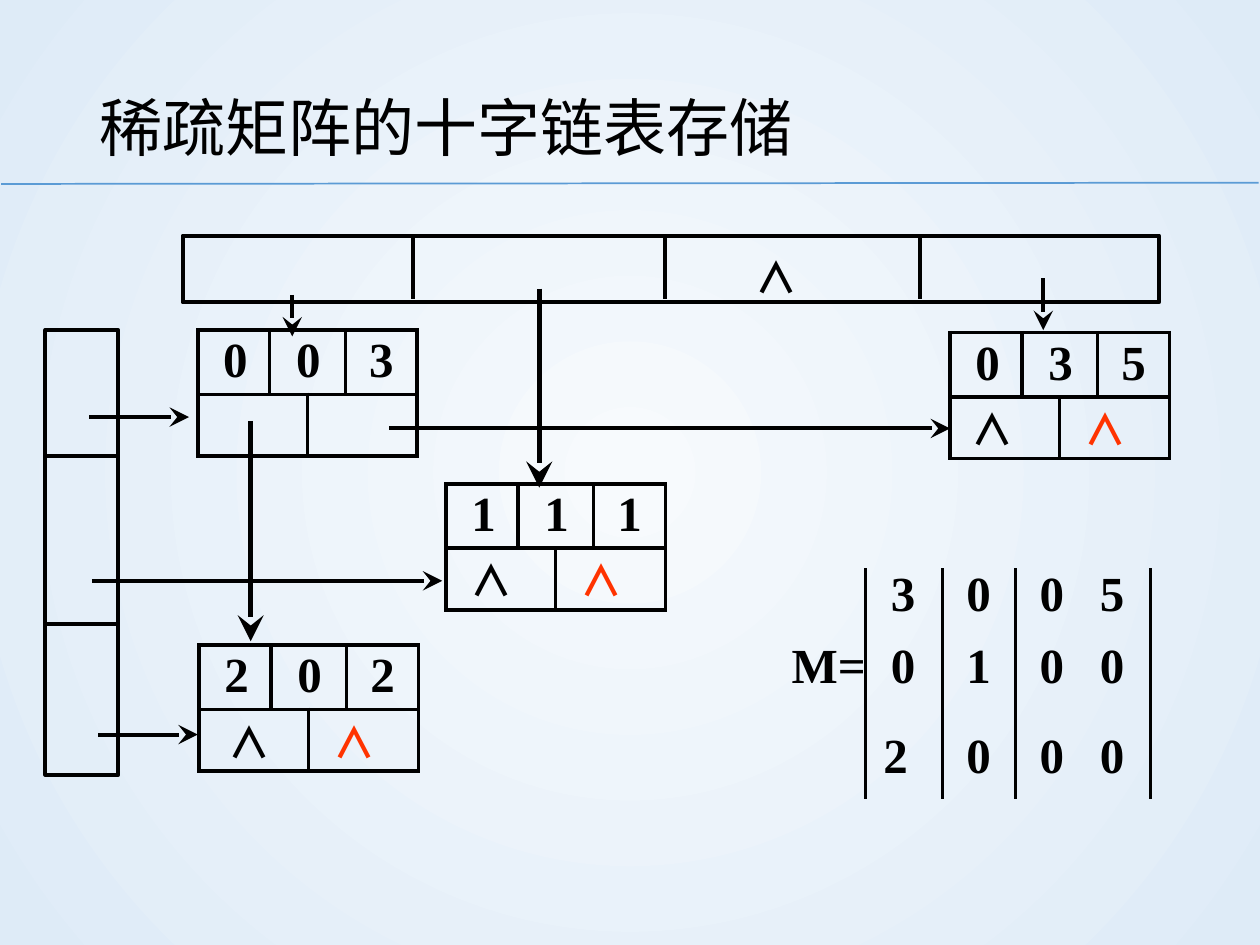
from lxml.etree import SubElement
from pptx import Presentation
from pptx.dml.color import RGBColor
from pptx.enum.shapes import MSO_CONNECTOR as Connector, MSO_SHAPE as Shape
from pptx.enum.text import MSO_ANCHOR as Anchor, PP_ALIGN as Align
from pptx.oxml.ns import qn
from pptx.util import Inches, Pt

BLACK = RGBColor(0x00, 0x00, 0x00)
RED = RGBColor(0xFF, 0x33, 0x00)
BLUE = RGBColor(0x5B, 0x9B, 0xD5)
CENTRE = RGBColor(0xF7, 0xFA, 0xFD)
EDGE = RGBColor(0xDE, 0xEB, 0xF7)

SERIF, SANS, CJK = "Times New Roman", "Arial", "Noto Sans CJK SC"
NO_STYLE = "{2D5ABB26-0587-4C30-8999-92F81FD0307C}"
NULL = "∧"


def write(frame, text, size=28, font=SERIF, color=BLACK, bold=True,
          indent=0, align=None, spacing=None):
    """Put one formatted paragraph in a text frame."""
    paragraph = frame.paragraphs[0]
    if indent:
        paragraph._p.get_or_add_pPr().set("marL", str(Inches(indent)))
    if align is not None:
        paragraph.alignment = align
    if spacing is not None:
        paragraph.line_spacing = spacing
    run = paragraph.add_run()
    run.text = text
    run.font.size, run.font.bold, run.font.name = Pt(size), bold, font
    run.font.color.rgb = color
    if font != SERIF:
        SubElement(run._r.get_or_add_rPr(), qn("a:ea"), typeface=CJK)


class Diagram:
    """Draws the parts of the slide with one line style."""

    def __init__(self, slide, weight=2.25):
        self.slide = slide
        self.weight = weight

    def background(self):
        fill = self.slide.background.fill
        fill.gradient()
        for stop, color, position in zip(fill.gradient_stops, (CENTRE, EDGE), (0, 1)):
            stop.color.rgb, stop.position = color, position
        gradient = self.slide._element.find(".//" + qn("a:gradFill"))
        gradient.remove(gradient.find(qn("a:lin")))
        radial = SubElement(gradient, qn("a:path"), path="circle")
        SubElement(radial, qn("a:fillToRect"), l="50000", t="50000", r="50000", b="50000")

    def text(self, text, left, top, width, height, inset=None, anchor=Anchor.TOP, **style):
        frame = self.slide.shapes.add_textbox(
            Inches(left), Inches(top), Inches(width), Inches(height)).text_frame
        frame.word_wrap = True
        frame.vertical_anchor = anchor
        if inset is not None:
            frame.margin_left = frame.margin_right = Inches(inset)
            frame.margin_top = frame.margin_bottom = Inches(inset)
        write(frame, text, **style)

    def line(self, x1, y1, x2, y2, color=BLACK, weight=None):
        line = self.slide.shapes.add_connector(
            Connector.STRAIGHT, Inches(x1), Inches(y1), Inches(x2), Inches(y2))
        line.line.color.rgb = color
        line.line.width = Pt(weight or self.weight)
        SubElement(line._element.spPr, qn("a:effectLst"))
        return line

    def arrow(self, x1, y1, x2, y2, weight=None):
        arrow = self.line(x1, y1, x2, y2, weight=weight)
        SubElement(arrow.line._get_or_add_ln(), qn("a:tailEnd"),
                   type="stealth", w="lg", len="lg")

    def box(self, left, top, width, height):
        box = self.slide.shapes.add_shape(
            Shape.RECTANGLE, Inches(left), Inches(top), Inches(width), Inches(height))
        box.shadow.inherit = False
        box.fill.background()
        box.line.color.rgb = BLACK
        box.line.width = Pt(self.weight)

    def table(self, left, top, columns, rows, borders):
        """Add a plain table; borders(column) names the sides drawn there."""
        table = self.slide.shapes.add_table(
            len(rows), len(columns), Inches(left), Inches(top),
            Inches(sum(columns)), Inches(sum(rows))).table
        table._tbl.tblPr.find(qn("a:tableStyleId")).text = NO_STYLE
        table.first_row = table.horz_banding = False
        for column, width in zip(table.columns, columns):
            column.width = Inches(width)
        for row, height in zip(table.rows, rows):
            row.height = Inches(height)
            for index, cell in enumerate(row.cells):
                cell.margin_left = cell.margin_right = 0
                cell.margin_top = cell.margin_bottom = 0
                for side in borders(index):
                    edge = SubElement(cell._tc.get_or_add_tcPr(), qn(f"a:ln{side}"),
                                      w=str(Pt(self.weight)))
                    solid = SubElement(edge, qn("a:solidFill"))
                    SubElement(solid, qn("a:srgbClr"), val=str(BLACK))
                cell.fill.background()
        return table

    def node(self, left, top, triple, null_indent=None):
        """Row, column and value above the down and right pointers."""
        table = self.table(left, top, (0.57, 0.3, 0.3, 0.57), (0.51, 0.49),
                           lambda column: "LRTB")
        for row, start in ((0, 1), (1, 0), (1, 2)):
            table.cell(row, start).merge(table.cell(row, start + 1))
        for column, digit, indent in zip((0, 1, 3), triple, (0.2, 0.21, 0.19)):
            write(table.cell(0, column).text_frame, digit, indent=indent, spacing=Pt(33.3))
        if null_indent is not None:
            for column, color, indent in ((0, BLACK, null_indent), (2, RED, 0.2)):
                write(table.cell(1, column).text_frame, NULL, size=24, font=CJK,
                      color=color, indent=indent)

    def matrix(self, left, top, values):
        table = self.table(left, top, (3.18, 0.61, 0.58, 0.53, 0.54), (0.57, 0.71, 0.55),
                           lambda column: {0: "R", 1: "LR", 2: "L", 4: "R"}.get(column, ""))
        write(table.cell(1, 0).text_frame, "M=", align=Align.RIGHT)
        for row, digits in enumerate(values):
            first = (0.2, 0.2, 0.14)[row]
            for column, (digit, indent) in enumerate(zip(digits, (first, 0.19, 0.19, 0.14)), 1):
                write(table.cell(row, column).text_frame, digit, indent=indent)


def main():
    deck = Presentation()
    deck.slide_width, deck.slide_height = Inches(10), Inches(7.5)
    diagram = Diagram(deck.slides.add_slide(deck.slide_layouts[6]))
    diagram.background()

    # Title and rule
    diagram.line(0.01, 1.46, 9.99, 1.45, color=BLUE, weight=1)
    diagram.text("稀疏矩阵的十字链表存储", 0.69, 0.4, 8.62, 1.08, anchor=Anchor.MIDDLE,
                 size=36, font=SANS, bold=False, spacing=1.2)

    # Row heads
    diagram.box(0.36, 2.62, 0.58, 3.53)
    for y in (3.62, 4.95):
        diagram.line(0.36, y, 0.95, y)

    # Column heads
    diagram.box(1.45, 1.87, 7.75, 0.53)
    for x in (3.28, 5.28, 7.3):
        diagram.line(x, 1.87, x, 2.37)
    diagram.text(NULL, 5.99, 2, 0.36, 0.36, inset=0, size=24, font=CJK, indent=0.01)

    # Right pointers
    for x1, x2, y in ((0.78, 1.57, 5.83), (0.71, 1.5, 3.31),
                      (3.09, 7.54, 3.4), (0.73, 3.51, 4.61)):
        diagram.arrow(x1, y, x2, y)

    # Down pointers
    for x, y1, y2, weight in ((8.28, 2.21, 2.62, 2.25), (4.28, 2.29, 3.87, 3),
                              (2.32, 2.34, 2.67, 2.25), (1.99, 3.34, 5.09, 3)):
        diagram.arrow(x, y1, x, y2, weight)

    # Matrix and its nodes
    diagram.matrix(3.69, 4.51, ("3005", "0100", "2000"))
    diagram.node(1.58, 5.12, "202", 0.23)
    diagram.node(1.57, 2.62, "003")
    diagram.node(7.54, 2.64, "035", 0.17)
    diagram.node(3.54, 3.84, "111", 0.19)

    deck.save("out.pptx")


if __name__ == "__main__":
    main()
